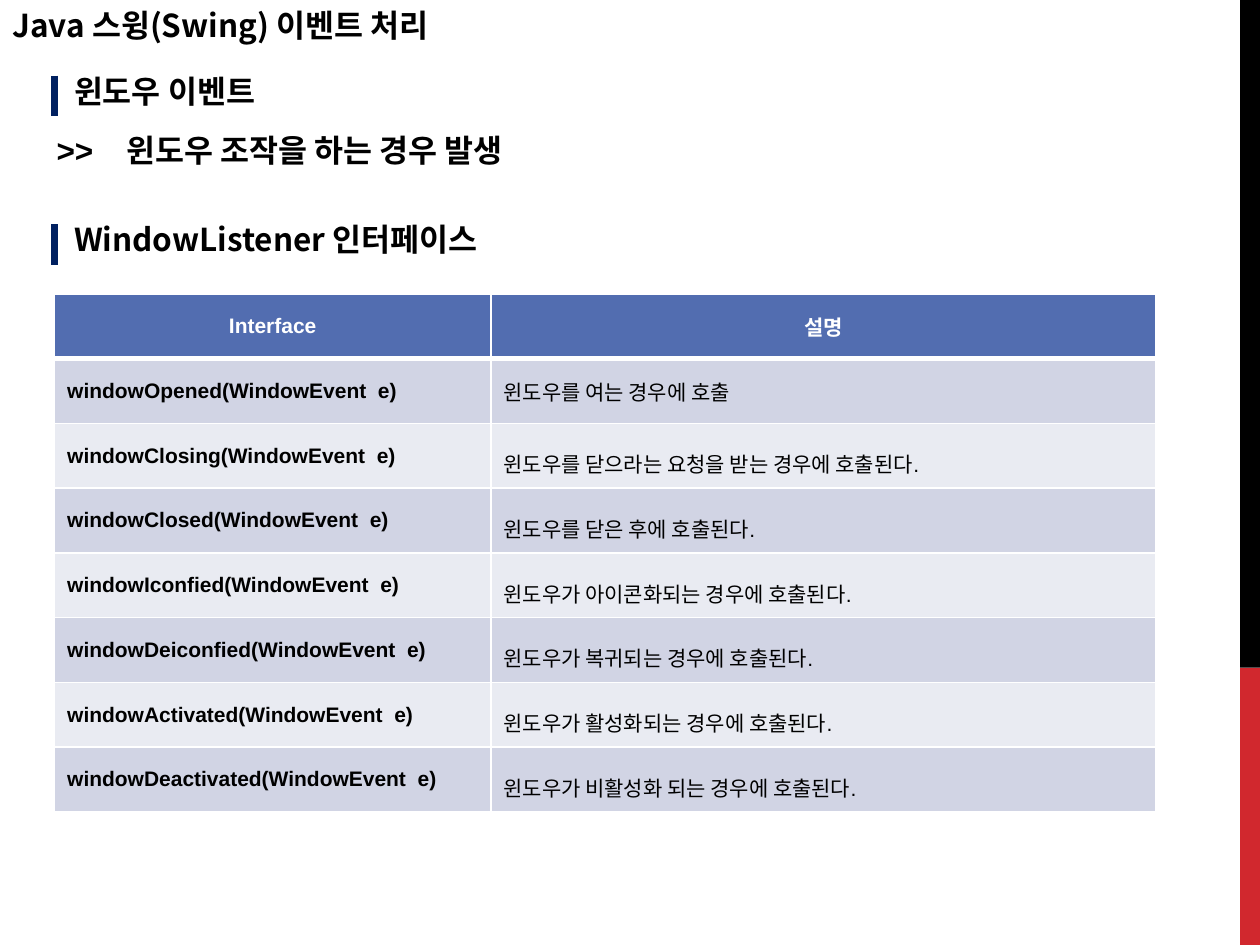
from lxml import etree
from pptx import Presentation
from pptx.dml.color import RGBColor
from pptx.enum.shapes import MSO_CONNECTOR, MSO_SHAPE
from pptx.enum.text import MSO_ANCHOR, PP_ALIGN
from pptx.oxml.ns import qn
from pptx.util import Pt

LINE = MSO_CONNECTOR.STRAIGHT
RECT = MSO_SHAPE.RECTANGLE
MIDDLE = MSO_ANCHOR.MIDDLE
LEFT, CENTER = PP_ALIGN.LEFT, PP_ALIGN.CENTER
KOREAN = "Noto Sans CJK KR"


def color(code):
    return RGBColor.from_string(code)


def write(frame, text, size=18, face=KOREAN, ink="000000", bold=True,
          align=LEFT, space=None, tab=None):
    para = frame.paragraphs[0]
    para.alignment = align
    if space:
        para.line_spacing = space
    if tab:
        stops = etree.SubElement(para._p.get_or_add_pPr(), qn("a:tabLst"))
        etree.SubElement(stops, qn("a:tab"), pos=str(Pt(tab)), algn="l")
    run = para.add_run()
    run.text = text
    font = run.font
    font.size, font.bold, font.name = Pt(size), bold, face
    font.color.rgb = color(ink)
    etree.SubElement(run._r.get_or_add_rPr(), qn("a:ea"), typeface=KOREAN)


deck = Presentation()
deck.slide_width, deck.slide_height = Pt(720), Pt(540)
slide = deck.slides.add_slide(deck.slide_layouts[6])
shapes = slide.shapes

# Side band
for top, height, fill in [(381.6, 158.4, "D1282E"), (0, 381.6, "000000")]:
    band = shapes.add_shape(RECT, Pt(708.6), Pt(top), Pt(11.4), Pt(height))
    band.shadow.inherit = False
    band.fill.solid()
    band.fill.fore_color.rgb = color(fill)
    band.line.fill.background()

# Title, headings and lead: left, top, width, inset, format
texts = [
    ("Java 스윙(Swing) 이벤트 처리", 0, 0, 629.3, 7.2, {}),
    ("윈도우 이벤트", 31, 37.4, 629.3, 11.3, {}),
    (">>\t윈도우 조작을 하는 경우 발생", 25.2, 71.3, 610.6, 7.2,
     {"face": "Arial", "tab": 40}),
    ("WindowListener 인터페이스", 31, 122.4, 629.3, 11.3, {}),
]
for text, left, top, width, inset, style in texts:
    box = shapes.add_textbox(Pt(left), Pt(top), Pt(width), Pt(28.8))
    box.text_frame.word_wrap = True
    box.text_frame.margin_left = Pt(inset)
    write(box.text_frame, text, **style)

# Heading bars
for top in (43.2, 128.2):
    bar = shapes.add_connector(LINE, Pt(31), Pt(top), Pt(31), Pt(top + 23))
    bar.line.color.rgb = color("002060")
    bar.line.width = Pt(4)
    etree.SubElement(bar._element.spPr, qn("a:effectLst"))

# Listener table
rows = [
    ("Interface", "설명"),
    ("windowOpened(WindowEvent  e)", "윈도우를 여는 경우에 호출"),
    ("windowClosing(WindowEvent  e)",
     "윈도우를 닫으라는 요청을 받는 경우에 호출된다."),
    ("windowClosed(WindowEvent  e)", "윈도우를 닫은 후에 호출된다."),
    ("windowIconfied(WindowEvent  e)",
     "윈도우가 아이콘화되는 경우에 호출된다."),
    ("windowDeiconfied(WindowEvent  e)",
     "윈도우가 복귀되는 경우에 호출된다."),
    ("windowActivated(WindowEvent  e)",
     "윈도우가 활성화되는 경우에 호출된다."),
    ("windowDeactivated(WindowEvent  e)",
     "윈도우가 비활성화 되는 경우에 호출된다."),
]
table = shapes.add_table(len(rows), 2, Pt(31.2), Pt(168), Pt(629.3),
                         Pt(296)).table
for col, width in zip(table.columns, (249.3, 380)):
    col.width = Pt(width)
for r, row in enumerate(rows):
    table.rows[r].height = Pt(37)
    head = r == 0
    for c, text in enumerate(row):
        cell = table.cell(r, c)
        cell.vertical_anchor = MIDDLE
        write(cell.text_frame, text, size=12, face="Arial",
              ink="FFFFFF" if head else "000000", bold=head or c == 0,
              align=CENTER if head else LEFT,
              space=1.5 if c == 1 and r > 1 else None)
        # White borders, thicker under the header
        for side in "LRTB":
            thick = (r, side) in ((0, "B"), (1, "T"))
            edge = etree.SubElement(cell._tc.get_or_add_tcPr(),
                                    qn("a:ln" + side),
                                    w=str(Pt(3 if thick else 1)))
            paint = etree.SubElement(edge, qn("a:solidFill"))
            etree.SubElement(paint, qn("a:srgbClr"), val="FFFFFF")
        cell.fill.solid()
        shade = "526DB0" if head else ("E9EBF2", "D1D4E4")[r % 2]
        cell.fill.fore_color.rgb = color(shade)

deck.save("out.pptx")
